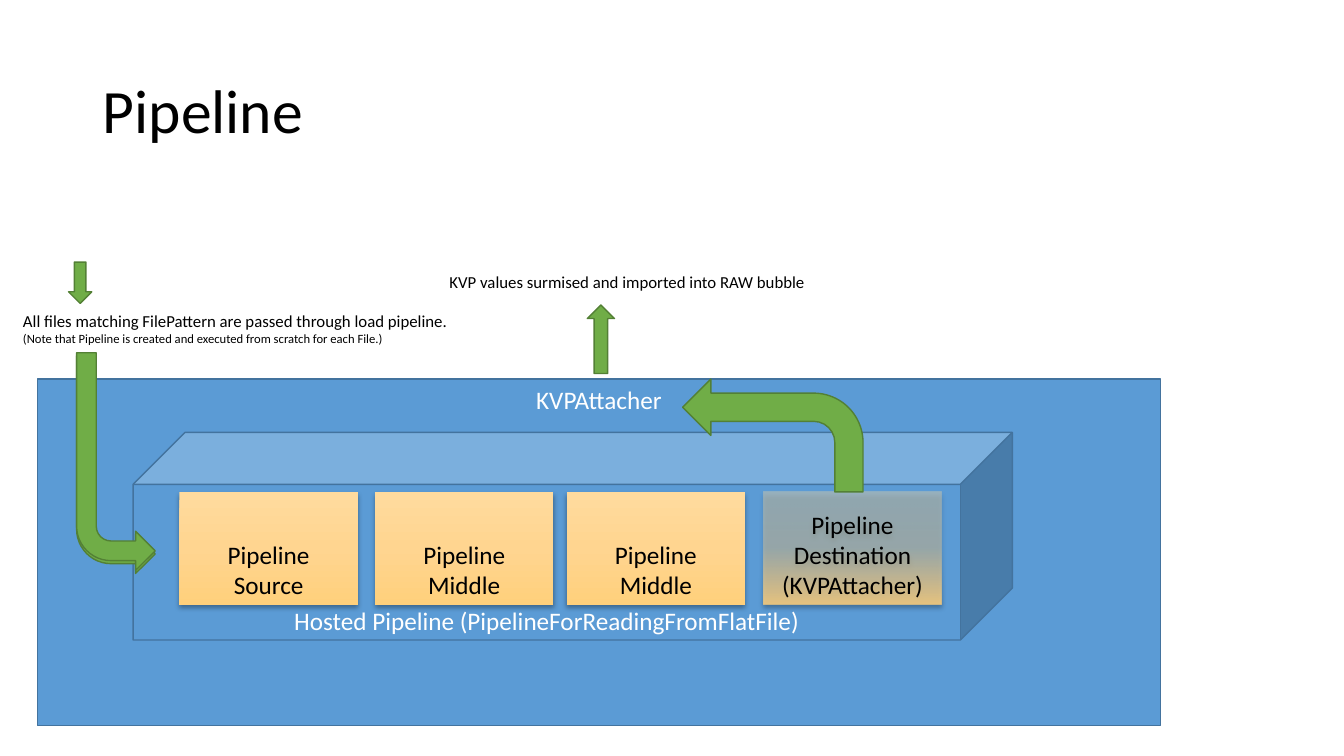
from lxml import etree
from pptx import Presentation
from pptx.dml.color import RGBColor
from pptx.enum.shapes import MSO_SHAPE as Shape
from pptx.enum.text import MSO_ANCHOR as Anchor, MSO_AUTO_SIZE as AutoSize, PP_ALIGN as Align
from pptx.oxml.ns import nsdecls, qn
from pptx.util import Inches, Pt

BLUE, BLUE_EDGE = "5B9BD5", "43739E"
GREEN, GREEN_EDGE = "70AD47", "538035"
STAGE_COLORS = ("FFDB9E", "FFD590", "FFD07C")
BLACK, WHITE = "000000", "FFFFFF"


def rgb(value):
    return RGBColor.from_string(value)


class PipelineSlide:
    font = "Calibri"

    def __init__(self, slide):
        self.slide = slide

    def set_text(self, frame, text, sizes, color, anchor, align):
        """Set text; sizes gives one point size per paragraph, the last one repeating."""
        frame.text = text
        frame.vertical_anchor = anchor
        for i, paragraph in enumerate(frame.paragraphs):
            paragraph.alignment = align
            for run in paragraph.runs:
                run.font.name = self.font
                run.font.size = Pt(sizes[min(i, len(sizes) - 1)])
                run.font.color.rgb = rgb(color)

    def title(self, text, left, top, width, height):
        heading = self.slide.shapes.title
        heading.left, heading.top = Inches(left), Inches(top)
        heading.width, heading.height = Inches(width), Inches(height)
        self.set_text(heading.text_frame, text, [44], BLACK, Anchor.MIDDLE, Align.LEFT)
        heading.text_frame.paragraphs[0].line_spacing = 0.9

    def shape(self, kind, left, top, width, height, fill, edge):
        item = self.slide.shapes.add_shape(
            kind, Inches(left), Inches(top), Inches(width), Inches(height))
        item.shadow.inherit = False
        item.fill.solid()
        item.fill.fore_color.rgb = rgb(fill)
        item.line.color.rgb = rgb(edge)
        item.line.width = Pt(1)
        return item

    def container(self, kind, text, left, top, width, height, anchor):
        box = self.shape(kind, left, top, width, height, BLUE, BLUE_EDGE)
        self.set_text(box.text_frame, text, [18], WHITE, anchor, Align.CENTER)

    def arrow(self, kind, left, top, width, height, rotation=0, flipped=False):
        item = self.shape(kind, left, top, width, height, GREEN, GREEN_EDGE)
        item.rotation = rotation
        if flipped:
            item.element.spPr.get_or_add_xfrm().set("flipV", "1")

    def stage(self, text, left, opacities=(100, 100, 100)):
        """Add a pipeline step with a vertical gradient and a soft shadow."""
        box = self.shape(Shape.RECTANGLE, left, 4.88, 1.77, 1.12, STAGE_COLORS[0], BLACK)
        box.line.fill.background()
        stops = "".join(
            f'<a:gs pos="{i * 50000}"><a:srgbClr val="{color}">'
            f'<a:alpha val="{opacity * 1000}"/></a:srgbClr></a:gs>'
            for i, (color, opacity) in enumerate(zip(STAGE_COLORS, opacities)))
        gradient = etree.fromstring(
            f'<a:gradFill {nsdecls("a")} rotWithShape="1"><a:gsLst>{stops}</a:gsLst>'
            '<a:lin ang="5400000" scaled="0"/></a:gradFill>')
        shadow = etree.fromstring(
            f'<a:outerShdw {nsdecls("a")} blurRad="{Pt(3.5)}" dist="{Pt(2.2)}" '
            'dir="5400000" algn="ctr" rotWithShape="0"><a:srgbClr val="000000">'
            '<a:alpha val="32000"/></a:srgbClr></a:outerShdw>')
        properties = box.element.spPr
        properties.replace(properties.find(qn("a:solidFill")), gradient)
        properties.find(qn("a:effectLst")).append(shadow)
        self.set_text(box.text_frame, text, [18], BLACK, Anchor.BOTTOM, Align.CENTER)

    def caption(self, text, left, top, width, height, sizes):
        box = self.slide.shapes.add_textbox(
            Inches(left), Inches(top), Inches(width), Inches(height))
        box.text_frame.word_wrap = False
        box.text_frame.auto_size = AutoSize.SHAPE_TO_FIT_TEXT
        self.set_text(box.text_frame, text, sizes, BLACK, Anchor.TOP, Align.LEFT)


def main():
    deck = Presentation()
    deck.slide_width, deck.slide_height = Inches(13.33), Inches(7.5)
    page = PipelineSlide(deck.slides.add_slide(deck.slide_layouts[5]))

    page.title("Pipeline", 0.92, 0.4, 11.5, 1.45)
    page.container(Shape.RECTANGLE, "KVPAttacher", 0.37, 3.76, 11.14, 3.44, Anchor.TOP)
    page.container(Shape.CUBE, "Hosted Pipeline (PipelineForReadingFromFlatFile)",
                   1.32, 4.29, 8.72, 2.06, Anchor.BOTTOM)
    for role, left in (("Source", 1.78), ("Middle", 3.72), ("Middle", 5.62)):
        page.stage(f"Pipeline\n{role}", left)
    page.stage("Pipeline\nDestination\n(KVPAttacher)", 7.57, (37, 40, 87))

    for top in (3.53, 3.5):
        page.arrow(Shape.BENT_ARROW, 0.76, top, 0.78, 2.16, flipped=True)
    page.arrow(Shape.RIGHT_ARROW, 0.59, 2.69, 0.41, 0.23, rotation=90)
    page.arrow(Shape.BENT_ARROW, 6.77, 3.76, 1.79, 1.12, rotation=180, flipped=True)
    page.arrow(Shape.RIGHT_ARROW, 5.62, 3.23, 0.68, 0.27, rotation=270)

    page.caption("All files matching FilePattern are passed through load pipeline.\n"
                 "(Note that Pipeline is created and executed from scratch for each File.)",
                 0.13, 3.03, 4.54, 0.47, [12, 9])
    page.caption("KVP values surmised and imported into RAW bubble",
                 4.36, 2.65, 3.76, 0.3, [12])
    deck.save("out.pptx")


if __name__ == "__main__":
    main()
